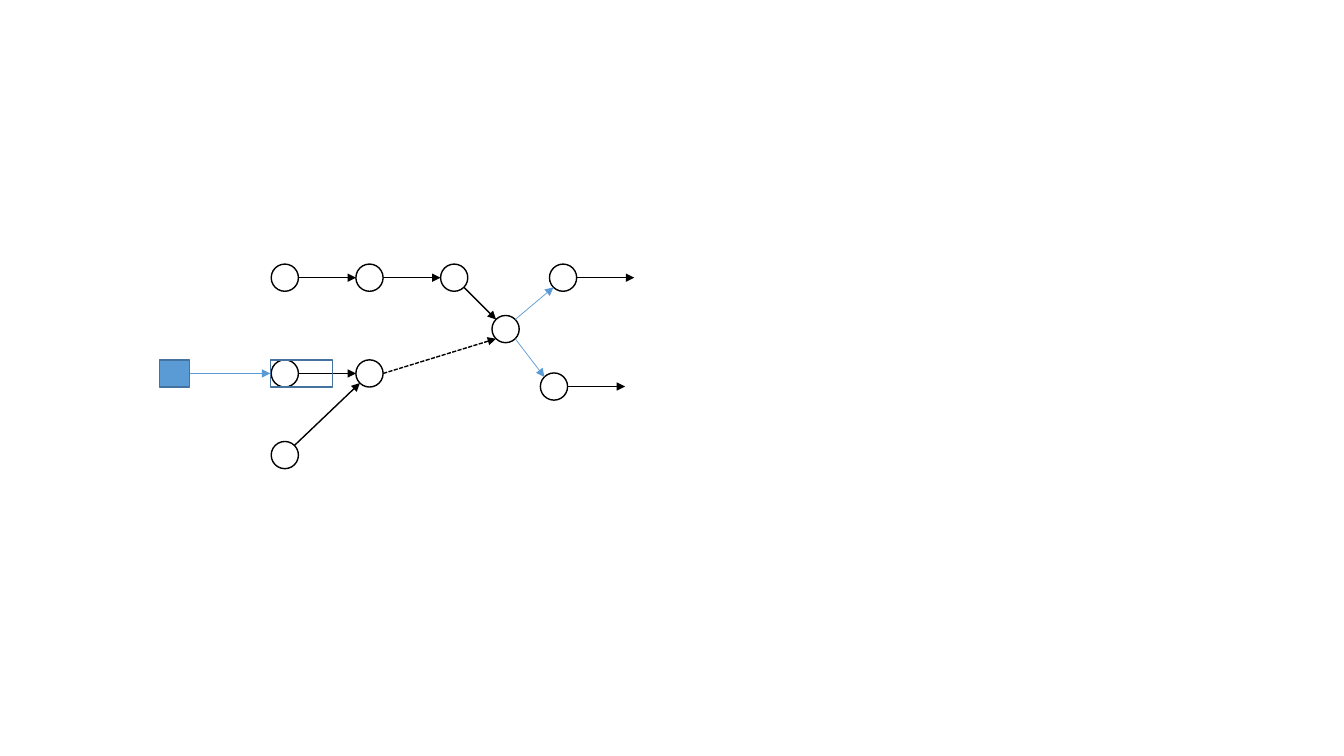
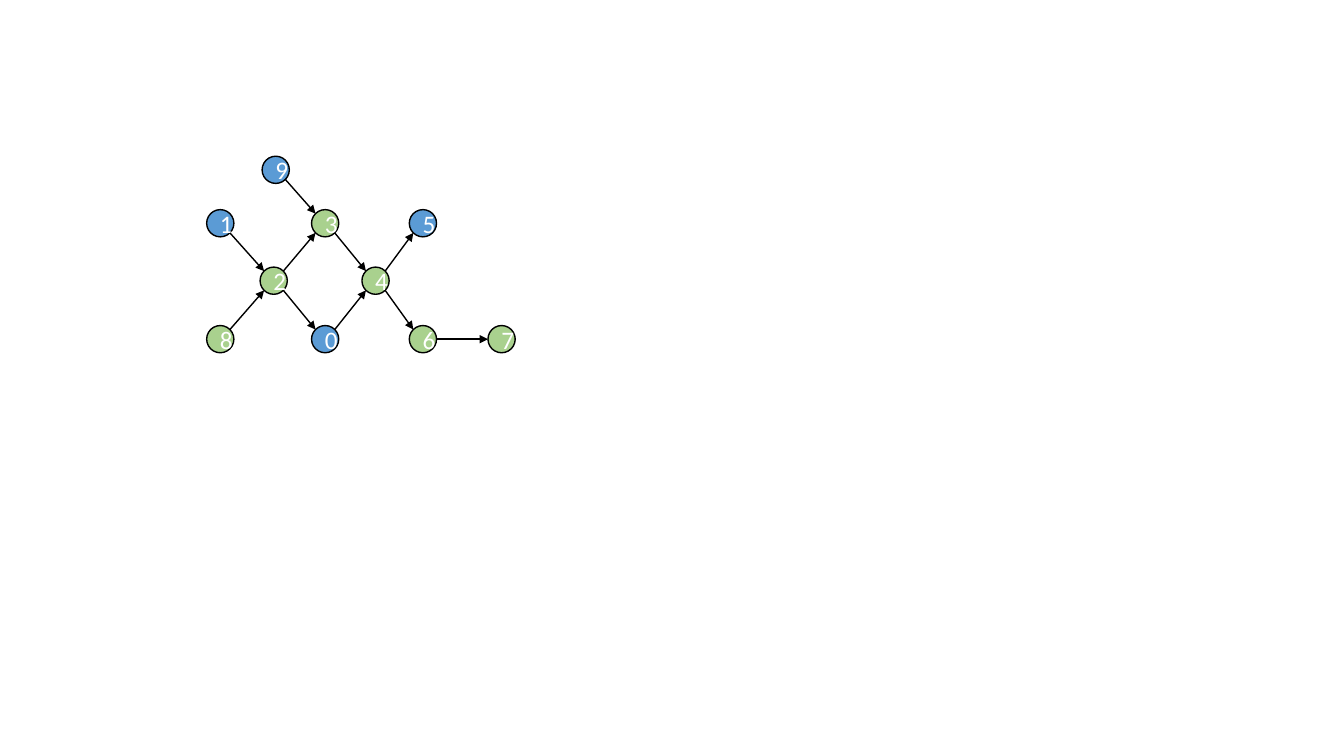
from math import cos, radians, sin

from lxml.etree import SubElement
from pptx import Presentation
from pptx.dml.color import RGBColor
from pptx.enum.dml import MSO_LINE
from pptx.enum.shapes import MSO_CONNECTOR, MSO_SHAPE
from pptx.enum.text import MSO_ANCHOR, PP_ALIGN
from pptx.oxml.ns import qn
from pptx.util import Inches, Pt

BLACK, WHITE, BLUE, GREEN, BORDER = "000000", "FFFFFF", "5B9BD5", "A9D18E", "43739E"
FONT = "Calibri"
NODE = 0.27
STUB = 0.57
LEFT, RIGHT = 2, 6


def rgb(code):
    """Turn a hex string into a colour."""
    return RGBColor.from_string(code)


def add_box(slide, kind, x, y, w, h, line, fill=None):
    """Add an outlined shape, filled only when a fill is given."""
    s = slide.shapes.add_shape(kind, Inches(x), Inches(y), Inches(w), Inches(h))
    s.shadow.inherit = False
    s.line.color.rgb = rgb(line)
    s.line.width = Pt(1)
    if fill:
        s.fill.solid()
        s.fill.fore_color.rgb = rgb(fill)
    else:
        s.fill.background()
    return s


def add_node(slide, x, y, fill=None, label=None):
    """Add a round node with an optional label."""
    s = add_box(slide, MSO_SHAPE.OVAL, x, y, NODE, NODE, BLACK, fill)
    if label:
        tf = s.text_frame
        tf.vertical_anchor = MSO_ANCHOR.MIDDLE
        p = tf.paragraphs[0]
        p.alignment = PP_ALIGN.CENTER
        r = p.add_run()
        r.text = label
        r.font.name, r.font.size = FONT, Pt(18)
        r.font.color.rgb = rgb(WHITE)
    return s


def add_arrow(slide, start, end, color=BLACK, width=1, dash=None):
    """Add a straight arrow between two points in inches."""
    c = slide.shapes.add_connector(
        MSO_CONNECTOR.STRAIGHT, *(Inches(v) for v in (*start, *end)))
    c.line.color.rgb = rgb(color)
    c.line.width = Pt(width)
    if dash:
        c.line.dash_style = dash
    SubElement(c.line._get_or_add_ln(), qn("a:tailEnd"), type="triangle")
    SubElement(c._element.spPr, qn("a:effectLst"))
    return c


def site_point(node, site):
    """Locate one of a node's eight sites, counted from the top to the left."""
    angle = radians(90 + 45 * site)
    radius = node.width.inches / 2
    return (node.left.inches + radius * (1 + cos(angle)),
            node.top.inches + radius * (1 - sin(angle)))


def link(slide, a, b, start=None, **style):
    """Join two nodes, the left one first, at their facing sites."""
    slope = (b.top > a.top) - (b.top < a.top)
    ends = ((a, start or RIGHT - slope, "a:stCxn"), (b, LEFT - slope, "a:endCxn"))
    c = add_arrow(slide, *(site_point(s, site) for s, site, _ in ends), **style)
    for s, site, tag in ends:
        SubElement(c._element.nvCxnSpPr.cNvCxnSpPr, qn(tag),
                   id=str(s.shape_id), idx=str(site))


def build_flow(slide, left, top):
    """Draw the branching flow from its box corner."""
    col, row = 0.84, 0.95
    first = 1.11
    places = {
        "top1": (first, 0), "top2": (first + col, 0), "top3": (first + 2 * col, 0),
        "mid1": (first, row), "mid2": (first + col, row), "low": (first, 1.76),
        "hub": (3.3, 0.51), "exit_up": (3.87, 0), "exit_down": (3.78, 1.08),
    }
    nodes = {k: add_node(slide, left + x, top + y) for k, (x, y) in places.items()}
    for a, b in (("top1", "top2"), ("top2", "top3"), ("top3", "hub"),
                 ("mid1", "mid2"), ("low", "mid2")):
        link(slide, nodes[a], nodes[b])
    link(slide, nodes["mid2"], nodes["hub"], start=RIGHT, dash=MSO_LINE.SQUARE_DOT)
    for name in ("exit_up", "exit_down"):
        link(slide, nodes["hub"], nodes[name], color=BLUE, width=0.5)
        x, y = site_point(nodes[name], RIGHT)
        add_arrow(slide, (x, y), (x + STUB, y))

    source_w, frame_x = 0.3, 1.1
    add_box(slide, MSO_SHAPE.RECTANGLE, left, top + row, source_w, NODE, BORDER, BLUE)
    add_box(slide, MSO_SHAPE.RECTANGLE, left + frame_x, top + row, 0.62, NODE, BORDER)
    y = top + row + NODE / 2
    add_arrow(slide, (left + source_w, y), (left + frame_x, y), BLUE, 0.5)


def build_numbered_graph(slide, left, top):
    """Draw the numbered, coloured graph from its box corner."""
    upper, middle, lower = 0.53, 1.1, 1.68
    places = {
        "1": (0, upper, BLUE), "2": (0.53, middle, GREEN), "3": (1.04, upper, GREEN),
        "4": (1.54, middle, GREEN), "5": (2.01, upper, BLUE), "6": (2.01, lower, GREEN),
        "7": (2.79, lower, GREEN), "8": (0, lower, GREEN), "9": (0.55, 0, BLUE),
        "0": (1.04, lower, BLUE),
    }
    nodes = {k: add_node(slide, left + x, top + y, fill, k)
             for k, (x, y, fill) in places.items()}
    for a, b in ("12", "82", "23", "93", "34", "45", "46", "67", "20", "04"):
        link(slide, nodes[a], nodes[b])


def main():
    """Build and save both slides."""
    prs = Presentation()
    prs.slide_width, prs.slide_height = Inches(13.33), Inches(7.5)
    for build, left, top in ((build_flow, 1.58, 2.62),
                             (build_numbered_graph, 2.05, 1.55)):
        build(prs.slides.add_slide(prs.slide_layouts[6]), left, top)
    prs.save("out.pptx")


main()
